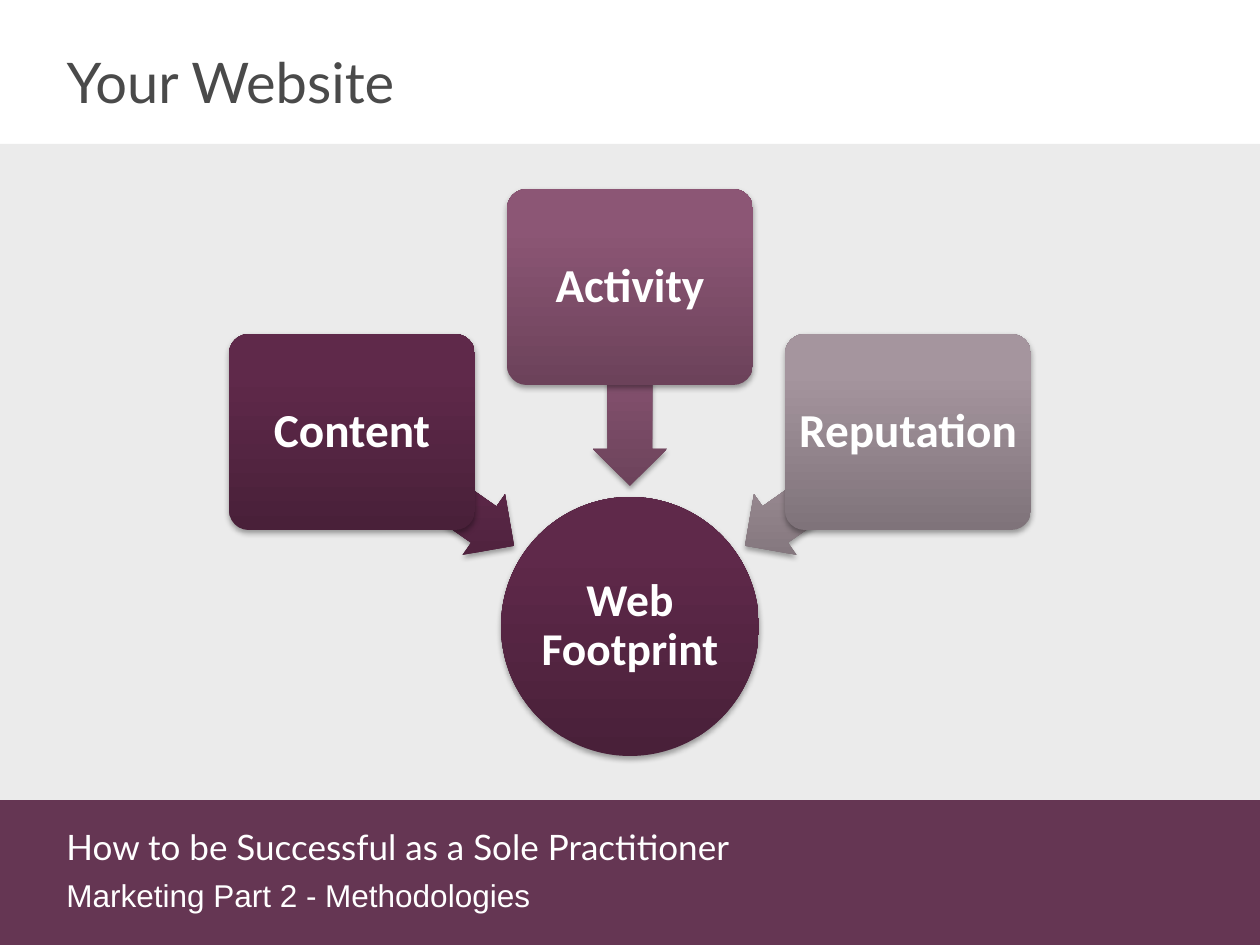
import pptx
import pptx.util
from lxml import etree
from pptx.dml.color import RGBColor
from pptx.enum.shapes import MSO_SHAPE
from pptx.enum.text import MSO_ANCHOR, PP_ALIGN
from pptx.oxml.ns import qn

PX = 914400 / 126

WHITE = RGBColor(0xFF, 0xFF, 0xFF)
CHARCOAL = RGBColor(0x4A, 0x4A, 0x4A)
PANEL_GREY = RGBColor(0xEB, 0xEB, 0xEB)
FOOTER_PURPLE = RGBColor(0x65, 0x36, 0x53)

# Gradients run from the dark bottom to the light top.
PLUM = (RGBColor(0x49, 0x20, 0x39), RGBColor(0x5F, 0x29, 0x4A))
PLUM_ARROW = (RGBColor(0x4D, 0x21, 0x3C), RGBColor(0x64, 0x2B, 0x4E))
MAUVE = (RGBColor(0x6C, 0x42, 0x5A), RGBColor(0x8C, 0x56, 0x75))
MAUVE_ARROW = (RGBColor(0x6D, 0x43, 0x5B), RGBColor(0x8E, 0x57, 0x77))
GREY = (RGBColor(0x7F, 0x73, 0x7A), RGBColor(0xA5, 0x95, 0x9E))
GREY_ARROW = (RGBColor(0x7F, 0x72, 0x79), RGBColor(0xA5, 0x95, 0x9D))

BOX_LEFT, BOX_STEP, BOX_WIDTH, BOX_HEIGHT = 229, 278, 246, 196
ARROW_WIDTH, ARROW_HEIGHT = 198, 74

# label, box top, box colours, arrow left, arrow top, rotation, arrow colours
FACTORS = [
    ("Content", 334, PLUM, 334, 452, 215, PLUM_ARROW),
    ("Activity", 189, MAUVE, 531, 350, 270, MAUVE_ARROW),
    ("Reputation", 334, GREY, 727, 452, 325, GREY_ARROW),
]


def px(*lengths):
    return [pptx.util.Emu(round(length * PX)) for length in lengths]


def style_font(font, name, size, color, bold=False):
    font.name = name
    font.size = pptx.util.Pt(size)
    font.color.rgb = color
    font.bold = bold


def add_band(slide, bounds, color):
    band = slide.shapes.add_shape(MSO_SHAPE.RECTANGLE, *px(*bounds))
    band.shadow.inherit = False
    band.fill.solid()
    band.fill.fore_color.rgb = color
    band.line.fill.background()


def add_soft_shadow(shape):
    shape.shadow.inherit = False
    effects = shape._element.spPr.find(qn("a:effectLst"))
    outer = etree.SubElement(effects, qn("a:outerShdw"), blurRad="40000",
                             dist="23000", dir="5400000", rotWithShape="0")
    black = etree.SubElement(outer, qn("a:srgbClr"), val="000000")
    etree.SubElement(black, qn("a:alpha"), val="35000")


def add_shaded_shape(slide, kind, bounds, colors):
    """Add a borderless shape whose gradient stays upright when it is rotated."""
    shape = slide.shapes.add_shape(kind, *px(*bounds))
    shape.fill.gradient()
    shape.fill.gradient_angle = 90
    for stop, position, color in zip(shape.fill.gradient_stops, (0, 0.8), colors):
        stop.position = position
        stop.color.rgb = color
    shape._element.spPr.find(qn("a:gradFill")).set("rotWithShape", "0")
    shape.line.fill.background()
    add_soft_shadow(shape)
    return shape


def set_label(shape, text, size, inset):
    frame = shape.text_frame
    frame.word_wrap = True
    frame.vertical_anchor = MSO_ANCHOR.MIDDLE
    (frame.margin_left, frame.margin_top,
     frame.margin_right, frame.margin_bottom) = px(*[inset] * 4)
    frame.text = text
    label = frame.paragraphs[0]
    label.alignment = PP_ALIGN.CENTER
    label.line_spacing = 0.9
    style_font(label.runs[0].font, "Calibri", size, WHITE, bold=True)


def add_factor(slide, column, factor):
    text, top, colors, arrow_left, arrow_top, rotation, arrow_colors = factor
    arrow = add_shaded_shape(slide, MSO_SHAPE.LEFT_ARROW,
                             (arrow_left, arrow_top, ARROW_WIDTH, ARROW_HEIGHT),
                             arrow_colors)
    arrow.adjustments[0] = 0.6
    arrow.adjustments[1] = 0.5
    arrow.rotation = rotation
    box_left = BOX_LEFT + column * BOX_STEP
    box = add_shaded_shape(slide, MSO_SHAPE.ROUNDED_RECTANGLE,
                           (box_left, top, BOX_WIDTH, BOX_HEIGHT), colors)
    box.adjustments[0] = 0.1
    set_label(box, text, 27, 7)


def set_title(slide, text):
    title = slide.shapes.title
    title.left, title.top, title.width, title.height = px(54, 38, 1150, 87)
    title.text_frame.vertical_anchor = MSO_ANCHOR.MIDDLE
    title.text_frame.text = text
    heading = title.text_frame.paragraphs[0]
    heading.alignment = PP_ALIGN.LEFT
    style_font(heading.runs[0].font, "Lato", 32, CHARCOAL)


def add_footer_text(slide):
    frame = slide.shapes.add_textbox(*px(54, 813, 912, 108)).text_frame
    frame.word_wrap = True
    frame.vertical_anchor = MSO_ANCHOR.MIDDLE
    frame.text = ("How to be Successful as a Sole Practitioner\n"
                  "Marketing Part 2 - Methodologies")
    for line, font_name, size in zip(frame.paragraphs, ("Lato", "Arial"), (20, 18)):
        line.line_spacing = pptx.util.Pt(27)
        style_font(line.runs[0].font, font_name, size, WHITE)


def main():
    deck = pptx.Presentation()
    deck.slide_width, deck.slide_height = px(1260, 945)
    slide = deck.slides.add_slide(deck.slide_layouts[5])
    add_band(slide, (-5, 800, 1270, 159), FOOTER_PURPLE)
    add_footer_text(slide)
    add_band(slide, (0, 144, 1260, 656), PANEL_GREY)
    set_title(slide, "Your Website")
    footprint = add_shaded_shape(slide, MSO_SHAPE.OVAL, (501, 497, 258, 259), PLUM)
    set_label(footprint, "Web Footprint", 26, 0)
    for column, factor in enumerate(FACTORS):
        add_factor(slide, column, factor)
    deck.save("out.pptx")


if __name__ == "__main__":
    main()
